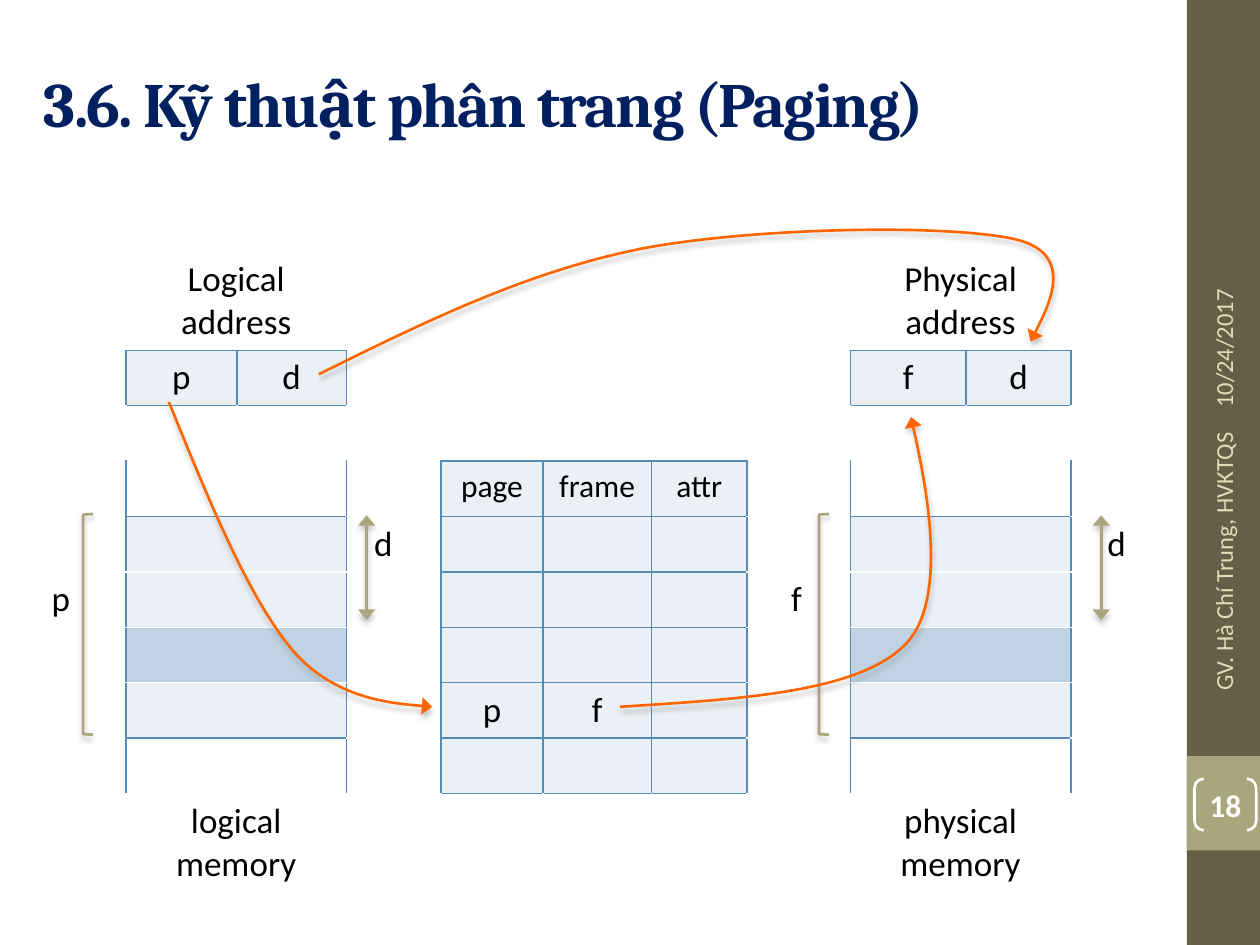
from lxml.etree import SubElement
from pptx import Presentation
from pptx.dml.color import RGBColor
from pptx.enum.shapes import MSO_CONNECTOR as Connector, MSO_SHAPE as Shape
from pptx.enum.text import MSO_ANCHOR as Anchor, PP_ALIGN as Align
from pptx.oxml import parse_xml
from pptx.oxml.ns import nsdecls, qn
from pptx.util import Inches, Pt

COLORS = {
    "white": "FFFFFF", "black": "000000", "navy": "002060", "cream": "DFDCB7",
    "brown": "675E47", "olive": "A9A57C", "orange": "FF6600",
    "border": "558BB8", "light": "EAF0F6", "marked": "BFD3E4",
}
SLIDE = (0, 0, 10, 7.5)
SIDEBAR = (9.42, 0, 0.58, 7.5)
TITLE = (0.25, 0.3, 8.92, 1.03)
DIAGRAM = (0.25, 2)
COLUMNS = [0.75, 0.88, 0.87, 0.75, 0.81, 0.86, 0.76, 0.82, 0.92, 0.83, 0.67]
ROWS = [0.78] + [0.44] * 8 + [0.78]
MEMORY_COLUMNS = (1, 8)
PAGE_COLUMNS = range(4, 7)
PAGE_ROWS = range(3, 9)
MERGED_ROWS = [0, *PAGE_ROWS, 9]
CENTERED = {
    (0, 1): "Logical address", (0, 8): "Physical address",
    (1, 1): "p", (1, 2): "d", (1, 8): "f", (1, 9): "d",
    (3, 4): "page", (3, 5): "frame", (3, 6): "attr",
    (7, 4): "p", (7, 5): "f",
    (9, 1): "logical memory", (9, 8): "physical memory",
}
INDENTED = {(4, 3): ("d", 0.22), (4, 10): ("d", 0.29),
            (5, 0): ("p", 0.16), (5, 7): ("f", 0.35)}
CURVES = [
    [(1.09, 1.19), (1.41, 1.98), (1.73, 2.76), (2.08, 3.17),
     (2.43, 3.57), (3.18, 3.61), (3.18, 3.61)],
    [(4.67, 3.61), (5.61, 3.55), (6.55, 3.5), (6.93, 3.12),
     (7.32, 2.74), (6.98, 1.31), (6.98, 1.31)],
    [(2.28, 0.97), (3.11, 0.56), (3.94, 0.15), (4.86, -0.03),
     (5.78, -0.2), (7.3, -0.22), (7.81, -0.1),
     (8.32, 0.02), (7.93, 0.71), (7.93, 0.71)],
]


def rgb(name):
    return RGBColor.from_string(COLORS[name])


def write(frame, text, size, color, align=Align.LEFT, bold=False, font="Calibri"):
    frame.text = text
    paragraph = frame.paragraphs[0]
    paragraph.alignment = align
    run = paragraph.runs[0]
    run.font.name, run.font.size, run.font.bold = font, Pt(size), bold
    run.font.color.rgb = rgb(color)
    return run


def add_text(slide, box, text, size, color, rotation=0, **style):
    shape = slide.shapes.add_textbox(*map(Inches, box))
    shape.rotation = rotation
    shape.text_frame.word_wrap = True
    shape.text_frame.vertical_anchor = Anchor.MIDDLE
    return write(shape.text_frame, text, size, color, **style)


def add_preset(slide, kind, box, fill=None, line=None):
    shape = slide.shapes.add_shape(kind, *map(Inches, box))
    shape.shadow.inherit = False
    if fill:
        shape.fill.solid()
        shape.fill.fore_color.rgb = rgb(fill)
    else:
        shape.fill.background()
    if line:
        set_line(shape, line)
    else:
        shape.line.fill.background()
    return shape


def set_line(shape, color, ends=()):
    shape.line.color.rgb = rgb(color)
    shape.line.width = Pt(1.5)
    line = shape.line._get_or_add_ln()
    for end in ends:
        SubElement(line, qn(f"a:{end}"), type="triangle", w="lg")


def add_shadow(shape):
    properties = shape._element.spPr
    for effects in properties.findall(qn("a:effectLst")):
        properties.remove(effects)
    properties.append(parse_xml(
        f'<a:effectLst {nsdecls("a")}><a:outerShdw blurRad="{Pt(3)}" '
        f'dist="{Pt(2.4)}" dir="5400000" rotWithShape="0">'
        '<a:srgbClr val="808080"><a:alpha val="45000"/></a:srgbClr>'
        '</a:outerShdw></a:effectLst>'))


def add_sidebar(slide, box):
    left, top, width, height = box
    add_preset(slide, Shape.RECTANGLE, box, "brown")
    add_preset(slide, Shape.RECTANGLE,
               (left, top + 0.8 * height, width, 0.1 * height), "olive")
    for text, center, length, align in (
            ("10/24/2017", 2, 2.67, Align.LEFT),
            ("GV. Hà Chí Trung, HVKTQS", 4.63, 2.59, Align.RIGHT)):
        add_text(slide, (left + width / 2 - length / 2, top + center - 0.2, length, 0.4),
                 text, 14, "cream", rotation=270, align=align)
    badge = add_preset(slide, Shape.DOUBLE_BRACKET,
                       (left + 0.06, top + 6.18, 0.49, 0.41), line="white")
    badge.adjustments[0] = 0.18
    frame = badge.text_frame
    frame.margin_left = frame.margin_right = frame.margin_top = frame.margin_bottom = 0
    frame.vertical_anchor = Anchor.MIDDLE
    write(frame, "18", 18, "white", align=Align.CENTER, bold=True)


def add_title(slide, box):
    run = add_text(slide, box, "3.6. Kỹ thuật phân trang (Paging)", 36, "navy",
                   bold=True, font="Cambria")
    run._r.get_or_add_rPr().set("spc", "-100")


def blue_edges():
    edges = set()
    boxed = [(row, column) for row in PAGE_ROWS for column in PAGE_COLUMNS]
    boxed += [(1, first + step) for first in MEMORY_COLUMNS for step in (0, 1)]
    for row, column in boxed:
        edges |= {("v", row, column), ("v", row, column + 1),
                  ("h", row, column), ("h", row + 1, column)}
    for first in MEMORY_COLUMNS:
        edges |= {("v", row, first + side) for row in PAGE_ROWS for side in (0, 2)}
        edges |= {("h", row, first + side) for row in (4, 8) for side in (0, 1)}
    return edges


def cell_fill(row, column):
    memory = any(first <= column <= first + 1 for first in MEMORY_COLUMNS)
    if memory and row == 6:
        return "marked"
    if memory and row in (1, 4, 5, 7) or column in PAGE_COLUMNS and row in PAGE_ROWS:
        return "light"
    return "white"


def set_borders(cell, row, column, span, edges):
    properties = cell._tc.get_or_add_tcPr()
    sides = {"L": ("v", row, column), "R": ("v", row, column + span),
             "T": ("h", row, column), "B": ("h", row + 1, column)}
    for index, (side, edge) in enumerate(sides.items()):
        color = COLORS["border" if edge in edges else "white"]
        properties.insert(index, parse_xml(
            f'<a:ln{side} {nsdecls("a")} w="{Pt(1)}"><a:solidFill>'
            f'<a:srgbClr val="{color}"/></a:solidFill></a:ln{side}>'))


def add_memory_table(slide, origin):
    table = slide.shapes.add_table(
        len(ROWS), len(COLUMNS), *map(Inches, (*origin, sum(COLUMNS), sum(ROWS)))).table
    table.first_row = table.horz_banding = False
    for column, width in zip(table.columns, COLUMNS):
        column.width = Inches(width)
    for row, height in zip(table.rows, ROWS):
        row.height = Inches(height)
    for row in MERGED_ROWS:
        for first in MEMORY_COLUMNS:
            table.cell(row, first).merge(table.cell(row, first + 1))
    edges = blue_edges()
    for row in range(len(ROWS)):
        for column in range(len(COLUMNS)):
            cell = table.cell(row, column)
            cell.fill.solid()
            cell.fill.fore_color.rgb = rgb(cell_fill(row, column))
            span = cell.span_width if cell.is_merge_origin else 1
            set_borders(cell, row, column, span, edges)
    for position, text in CENTERED.items():
        write(table.cell(*position).text_frame, text, 18 if position[0] == 3 else 20,
              "black", align=Align.CENTER)
    for position, (text, indent) in INDENTED.items():
        cell = table.cell(*position)
        cell.margin_left = Inches(indent)
        write(cell.text_frame, text, 20, "black")


def add_curve(slide, origin, points):
    start, *others = [(Inches(origin[0] + x), Inches(origin[1] + y)) for x, y in points]
    builder = slide.shapes.build_freeform(*start)
    builder.add_line_segments(others, close=False)
    shape = builder.convert_to_shape()
    outline = next(shape._element.iter(qn("a:path")))
    segments = outline.findall(qn("a:lnTo"))
    for index in range(0, len(segments), 3):
        curve = SubElement(outline, qn("a:cubicBezTo"))
        for segment in segments[index:index + 3]:
            curve.append(segment[0])
            outline.remove(segment)
    shape.fill.background()
    set_line(shape, "orange", ["tailEnd"])
    add_shadow(shape)


def add_marks(slide, origin):
    left, top = origin
    for x in (2.66, 8.49):
        arrow = slide.shapes.add_connector(
            Connector.STRAIGHT, *map(Inches, (left + x, top + 2.09, left + x, top + 2.92)))
        set_line(arrow, "olive", ["headEnd", "tailEnd"])
        add_shadow(arrow)
    for x in (0.41, 6.25):
        bracket = add_preset(slide, Shape.LEFT_BRACKET,
                             (left + x, top + 2.08, 0.08, 1.75), line="olive")
        add_shadow(bracket)
    for points in CURVES:
        add_curve(slide, origin, points)


presentation = Presentation()
presentation.slide_width, presentation.slide_height = map(Inches, SLIDE[2:])
slide = presentation.slides.add_slide(presentation.slide_layouts[6])
add_sidebar(slide, SIDEBAR)
add_title(slide, TITLE)
add_memory_table(slide, DIAGRAM)
add_marks(slide, DIAGRAM)
presentation.save("out.pptx")
